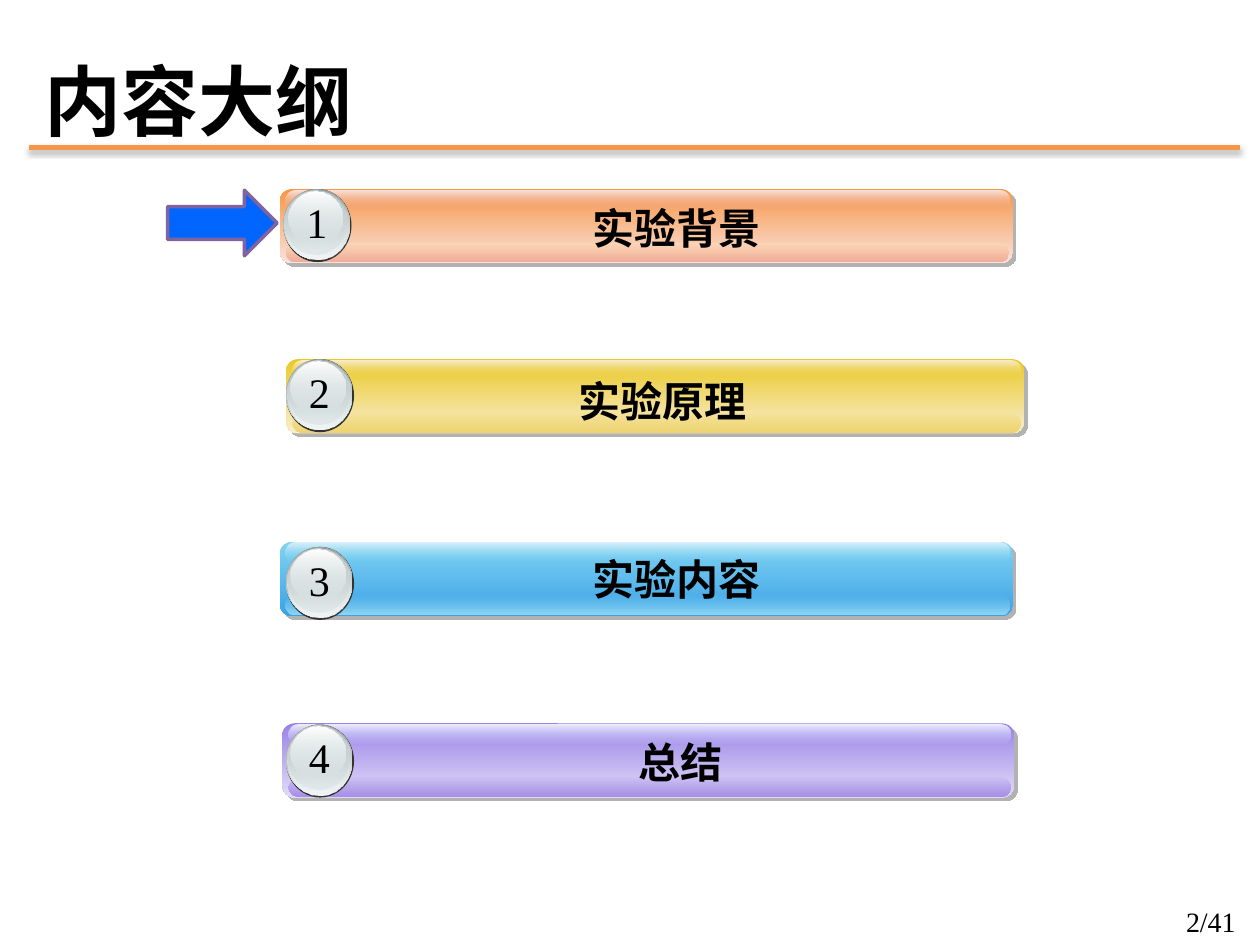
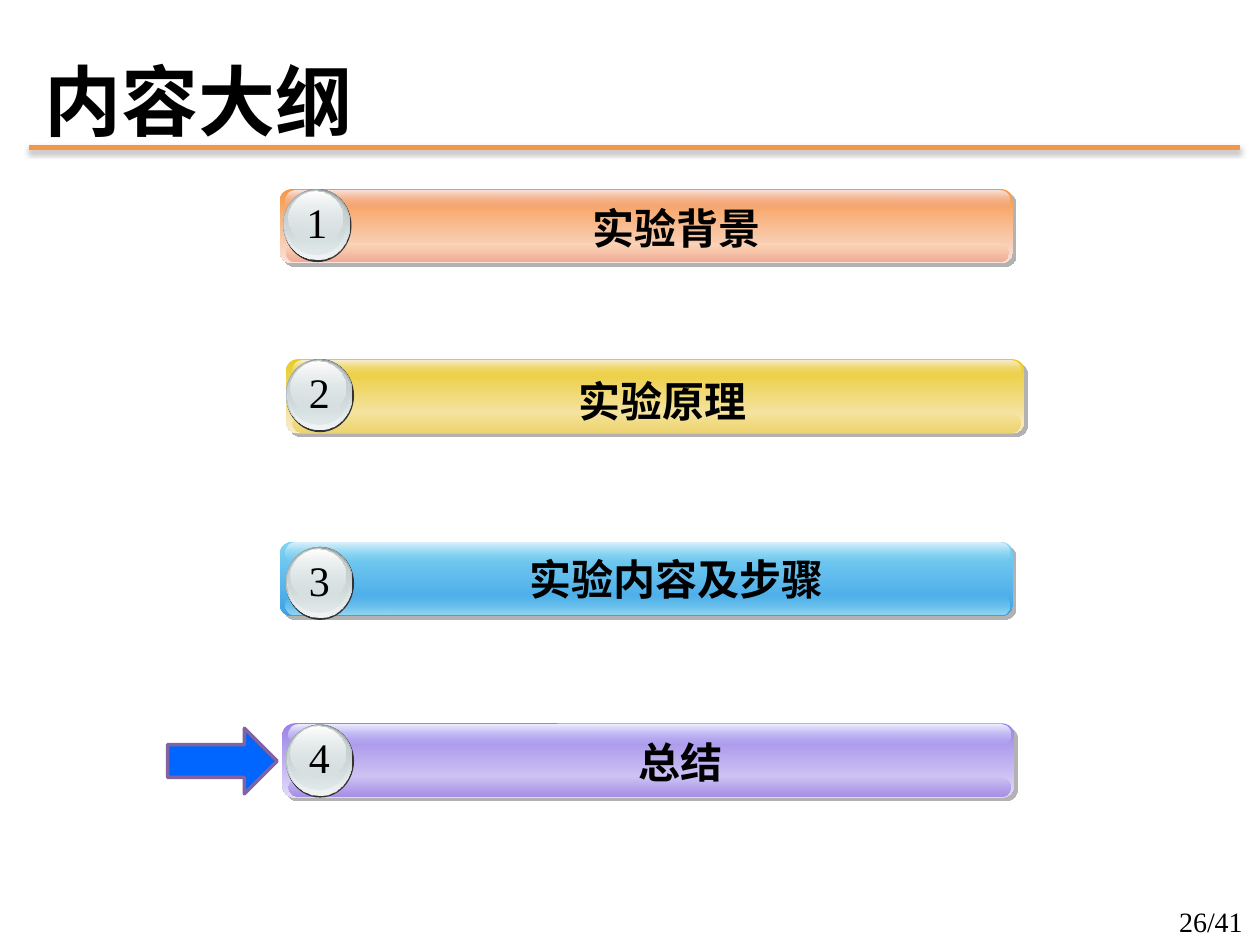
from collections import namedtuple

from lxml.etree import SubElement as Sub
from pptx import Presentation
from pptx.dml.color import RGBColor
from pptx.enum.shapes import MSO_CONNECTOR as Link, MSO_SHAPE as Kind
from pptx.enum.text import MSO_ANCHOR as Anchor, PP_ALIGN as Align
from pptx.oxml.ns import qn
from pptx.util import Inches, Pt

SERIF, SANS, HEAD = "Times New Roman", "Noto Sans CJK SC", "Calibri"
TOTAL = 41
HUES = {
    "text": "000000", "rule": "F79646", "shade": "B2B2B2",
    "arrow": "0066FF", "edge": "8064A2", "rim": "333333",
}

# Gradients run downward: (top colour, opacity), (bottom colour, opacity)
GRADS = {
    "orange": {"body": (("F79646", 100), ("F9E2DD", 100)),
               "foot": (("FCD5B5", 100), ("EFAE9B", 100)),
               "shine": (("F9E5E0", 100), ("ED9E85", 0))},
    "yellow": {"body": (("EAC924", 100), ("F8EDD2", 100)),
               "foot": (("EAC924", 0), ("EDD169", 100)),
               "shine": (("F8EFD6", 100), ("EAC924", 0))},
    "blue": {"body": (("80D4F2", 100), ("3CA1E6", 100)),
             "foot": (("80D4F2", 0), ("97DAF4", 100)),
             "shine": (("DFF2FB", 100), ("80D4F2", 0))},
    "purple": {"body": (("9A82E8", 100), ("E1DCF7", 100)),
               "foot": (("8D67E1", 0), ("A187E5", 100)),
               "shine": (("EFF1FE", 100), ("CBD0FD", 0))},
}

# Glass layers of a badge: offset x, offset y, width, height, gradient
GLASS = [
    (0, 0, .53, .56, (("99A1A2", 100), ("D6E1E2", 100))),
    (.01, .01, .51, .55, (("D6E1E2", 0), ("F2F5F5", 100))),
    (.01, .01, .49, .51, (("C1CBCC", 100), ("D6E1E2", 48))),
    (.04, .02, .43, .41, (("FFFFFF", 100), ("D6E1E2", 38))),
]

# Bar place and width, label place and width, badge place
Row = namedtuple("Row", "hue bar label badge")
ROWS = [
    Row("orange", (2.22, 1.5, 5.82), (2.94, 1.56, 4.86), (2.25, 1.5)),
    Row("yellow", (2.27, 2.85, 5.86), (3.36, 2.93, 3.8), (2.27, 2.85)),
    Row("blue", (2.22, 4.3, 5.82), (2.94, 4.34, 4.86), (2.27, 4.34)),
    Row("purple", (2.24, 5.74, 5.81), (2.97, 5.8, 4.86), (2.27, 5.75)),
]

# Page number, arrow top, labels
PAGES = [
    (2, 1.51, ["实验背景", "实验原理", "实验内容", "总结"]),
    (26, 5.78, ["实验背景", "实验原理", "实验内容及步骤", "总结"]),
]


def rgb(code):
    return RGBColor.from_string(code)


def box(*nums):
    return [Inches(n) for n in nums]


def write(frame, text, size=24, font=SERIF, bold=False, align=Align.CENTER):
    """Fill a text frame with one formatted line."""
    frame.word_wrap = True
    line = frame.paragraphs[0]
    line.alignment = align
    run = line.add_run()
    run.text = text
    run.font.size, run.font.bold, run.font.name = Pt(size), bold, font
    run.font.color.rgb = rgb(HUES["text"])
    east = SANS if font == HEAD else font
    Sub(run.font._element, qn("a:ea"), typeface=east)


def add_text(shapes, place, text, **style):
    write(shapes.add_textbox(*box(*place)).text_frame, text, **style)


def blend(shape, stops):
    """Apply a downward gradient with an opacity for each stop."""
    shape.fill.gradient()
    shape.fill.gradient_angle = 270
    for stop, (code, _) in zip(shape.fill.gradient_stops, stops):
        stop.color.rgb = rgb(code)
    tints = shape._element.spPr.iter(qn("a:srgbClr"))
    for tint, (_, solid) in zip(tints, stops):
        if solid < 100:
            Sub(tint, qn("a:alpha"), val=str(solid * 1000))


def shadow(shape, code, solid, blur, dist, angle):
    props = shape._element.spPr
    for old in props.findall(qn("a:effectLst")):
        props.remove(old)
    cast = Sub(Sub(props, qn("a:effectLst")), qn("a:outerShdw"),
               blurRad=str(Pt(blur)), dist=str(Pt(dist)),
               dir=str(angle * 60000), algn="ctr", rotWithShape="0")
    tint = Sub(cast, qn("a:srgbClr"), val=code)
    Sub(tint, qn("a:alpha"), val=str(solid * 1000))


def add_form(shapes, kind, place, fill, curve=None):
    """Add a preset shape; fill is a colour or a gradient."""
    shape = shapes.add_shape(kind, *box(*place))
    shape.shadow.inherit = False
    shape.line.fill.background()
    if curve is not None:
        shape.adjustments[0] = curve
    if isinstance(fill, str):
        shape.fill.solid()
        shape.fill.fore_color.rgb = rgb(fill)
    else:
        blend(shape, fill)
    return shape


def add_bar(slide, row, text):
    group = slide.shapes.add_group_shape().shapes
    x, y, wide = row.bar
    grads = GRADS[row.hue]
    body = add_form(group, Kind.ROUNDED_RECTANGLE, (x, y, wide, .59),
                    grads["body"], curve=.167)
    shadow(body, HUES["shade"], 100, 0, 2.8, 45)
    for part, drop in (("foot", .43), ("shine", .01)):
        add_form(group, Kind.ROUNDED_RECTANGLE,
                 (x + .05, y + drop, wide - .08, .15), grads[part], curve=.5)
    add_text(group, (*row.label, .5), text, font=SANS, bold=True)


def add_badge(slide, row, num):
    group = slide.shapes.add_group_shape().shapes
    x, y = row.badge
    add_form(group, Kind.OVAL, (x, y, .54, .58), HUES["rim"])
    for dx, dy, wide, high, stops in GLASS:
        add_form(group, Kind.OVAL, (x + dx, y + dy, wide, high), stops)
    add_text(group, (x + .07, y + .01, .39, .5), str(num))


def add_arrow(slide, top):
    arrow = add_form(slide.shapes, Kind.RIGHT_ARROW, (1.33, top, .87, .52),
                     HUES["arrow"])
    arrow.line.color.rgb = rgb(HUES["edge"])
    arrow.line.width = Pt(2)


def add_frame(slide, page):
    """Title, rule and page number, the same on each slide."""
    title = slide.shapes.title
    title.left, title.top, title.width, title.height = box(.25, .36, 9, .86)
    title.text_frame.vertical_anchor = Anchor.MIDDLE
    write(title.text_frame, "内容大纲", size=44, font=HEAD, bold=True,
          align=Align.LEFT)
    rule = slide.shapes.add_connector(Link.STRAIGHT,
                                      *box(.23, 1.17, 9.84, 1.17))
    rule.line.color.rgb = rgb(HUES["rule"])
    rule.line.width = Pt(3)
    shadow(rule, HUES["text"], 35, 3.1, 1.8, 90)
    add_text(slide.shapes, (9.22, 7.13, .78, .37), f"{page}/{TOTAL}", size=16)


def main():
    deck = Presentation()
    deck.slide_width, deck.slide_height = box(10, 7.5)
    for page, top, labels in PAGES:
        slide = deck.slides.add_slide(deck.slide_layouts[5])
        add_frame(slide, page)
        for num, (row, text) in enumerate(zip(ROWS, labels), 1):
            add_bar(slide, row, text)
            add_badge(slide, row, num)
        add_arrow(slide, top)
    deck.save("out.pptx")


if __name__ == "__main__":
    main()
